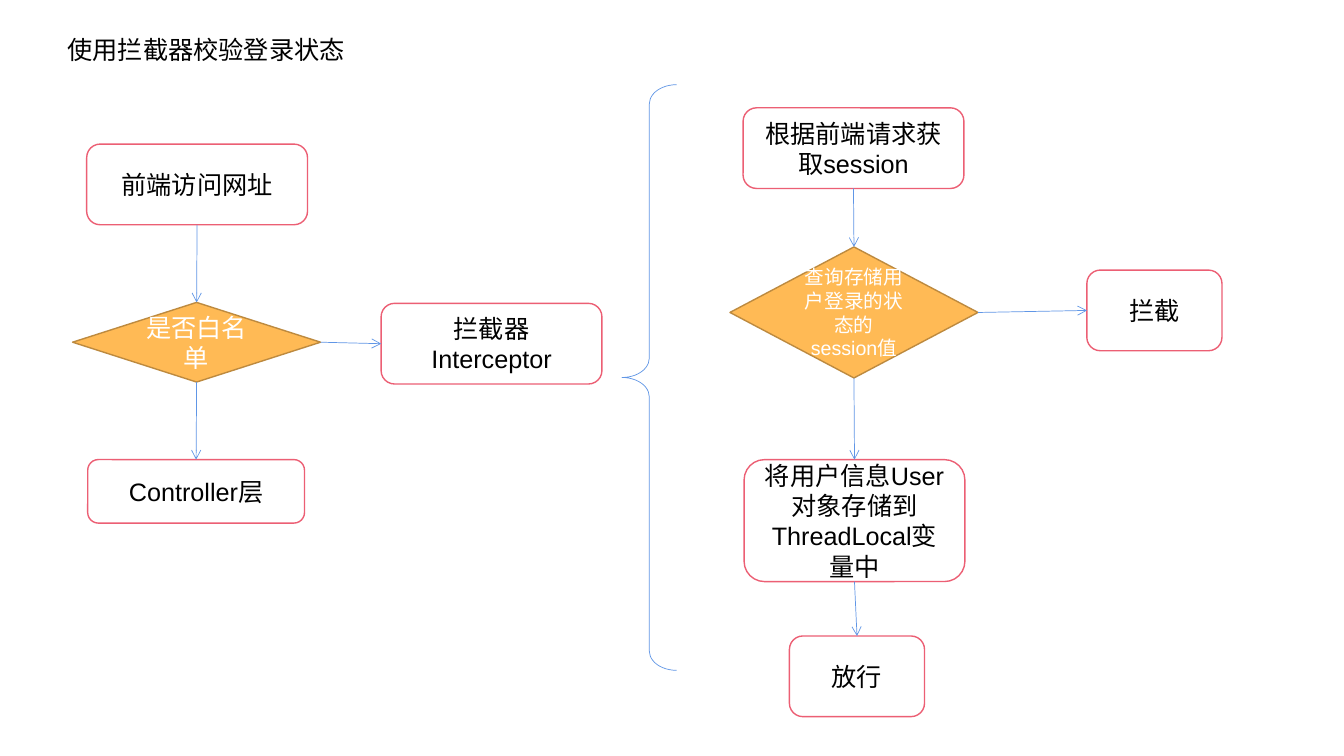
from pptx import Presentation
from pptx.dml.color import RGBColor
from pptx.enum.shapes import MSO_CONNECTOR, MSO_SHAPE
from pptx.enum.text import MSO_ANCHOR, MSO_AUTO_SIZE, PP_ALIGN
from pptx.oxml.ns import qn
from pptx.util import Inches, Pt
from lxml.etree import SubElement

COLORS = {
    "text": "000000",
    "white": "FFFFFF",
    "step_line": "EC5F74",
    "decision_fill": "FFBA55",
    "decision_line": "BD8A3F",
    "flow": "6096E6",
}
FONT = "Arial"
TOP, LEFT, BOTTOM, RIGHT = range(4)


def rgb(name):
    """Return the named colour."""
    return RGBColor.from_string(COLORS[name])


def set_line(sp, color, width):
    """Set the colour and width of an outline."""
    sp.line.color.rgb = rgb(color)
    sp.line.width = Pt(width)


def add_text(tf, text, size, color, align):
    """Write one run in the first paragraph of a text frame."""
    tf.word_wrap = True
    p = tf.paragraphs[0]
    p.alignment = align
    r = p.add_run()
    r.text = text
    r.font.size = Pt(size)
    r.font.name = FONT
    r.font.color.rgb = rgb(color)


def add_title(slide, text, left, top, width, height):
    """Add the heading text box."""
    sp = slide.shapes.add_textbox(*map(Inches, (left, top, width, height)))
    add_text(sp.text_frame, text, 18, "text", PP_ALIGN.LEFT)
    sp.text_frame.auto_size = MSO_AUTO_SIZE.SHAPE_TO_FIT_TEXT


def add_node(slide, preset, box, text, size, fill, line, color):
    """Add a filled shape with centred text."""
    sp = slide.shapes.add_shape(preset, *map(Inches, box))
    sp.shadow.inherit = False
    sp.fill.solid()
    sp.fill.fore_color.rgb = rgb(fill)
    set_line(sp, line, 1)
    sp.text_frame.vertical_anchor = MSO_ANCHOR.MIDDLE
    add_text(sp.text_frame, text, size, color, PP_ALIGN.CENTER)
    return sp


def add_step(slide, text, left, top, width=2.19, height=0.8):
    """Add a rounded process step."""
    return add_node(slide, MSO_SHAPE.ROUNDED_RECTANGLE, (left, top, width, height),
                    text, 18, "white", "step_line", "text")


def add_decision(slide, text, left, top, height, size):
    """Add a decision diamond."""
    return add_node(slide, MSO_SHAPE.FLOWCHART_DECISION, (left, top, 2.46, height),
                    text, size, "decision_fill", "decision_line", "white")


def add_arrow(slide, source, target, start=BOTTOM, end=TOP):
    """Join two nodes with an arrow."""
    sp = slide.shapes.add_connector(MSO_CONNECTOR.STRAIGHT, 0, 0, 0, 0)
    sp.begin_connect(source, start)
    sp.end_connect(target, end)
    set_line(sp, "flow", 0.5)
    SubElement(sp.line._get_or_add_ln(), qn("a:tailEnd"), type="arrow")
    SubElement(sp._element.spPr, qn("a:effectLst"))


def add_brace(slide, left, top, width, height):
    """Add the brace that opens the interceptor details."""
    sp = slide.shapes.add_shape(MSO_SHAPE.LEFT_BRACE,
                                *map(Inches, (left, top, width, height)))
    sp.shadow.inherit = False
    sp.adjustments[0] = 0.355
    sp.fill.background()
    set_line(sp, "flow", 0.5)


def main():
    """Build the login check flowchart."""
    prs = Presentation()
    prs.slide_width, prs.slide_height = Inches(13.33), Inches(7.5)
    slide = prs.slides.add_slide(prs.slide_layouts[6])

    add_title(slide, "使用拦截器校验登录状态", 0.57, 0.29, 3.01, 0.4)

    visit = add_step(slide, "前端访问网址", 0.86, 1.43)
    whitelist = add_decision(slide, "是否白名单", 0.72, 3, 0.79, 18)
    controller = add_step(slide, "Controller层", 0.87, 4.56, 2.15, 0.63)
    interceptor = add_step(slide, "拦截器Interceptor", 3.78, 3.01)

    session = add_step(slide, "根据前端请求获取session", 7.37, 1.07)
    query = add_decision(slide, "查询存储用户登录的状态的session值", 7.24, 2.45, 1.3, 14)
    block = add_step(slide, "拦截", 10.78, 2.68, 1.34)
    release = add_step(slide, "放行", 7.83, 6.31, 1.34)
    store = add_step(slide, "将用户信息User对象存储到ThreadLocal变量中",
                     7.38, 4.56, height=1.21)

    for source, target in ((visit, whitelist), (whitelist, controller),
                           (session, query), (query, store), (store, release)):
        add_arrow(slide, source, target)
    for source, target in ((whitelist, interceptor), (query, block)):
        add_arrow(slide, source, target, RIGHT, LEFT)

    add_brace(slide, 6.17, 0.84, 0.54, 5.81)
    prs.save("out.pptx")


if __name__ == "__main__":
    main()
